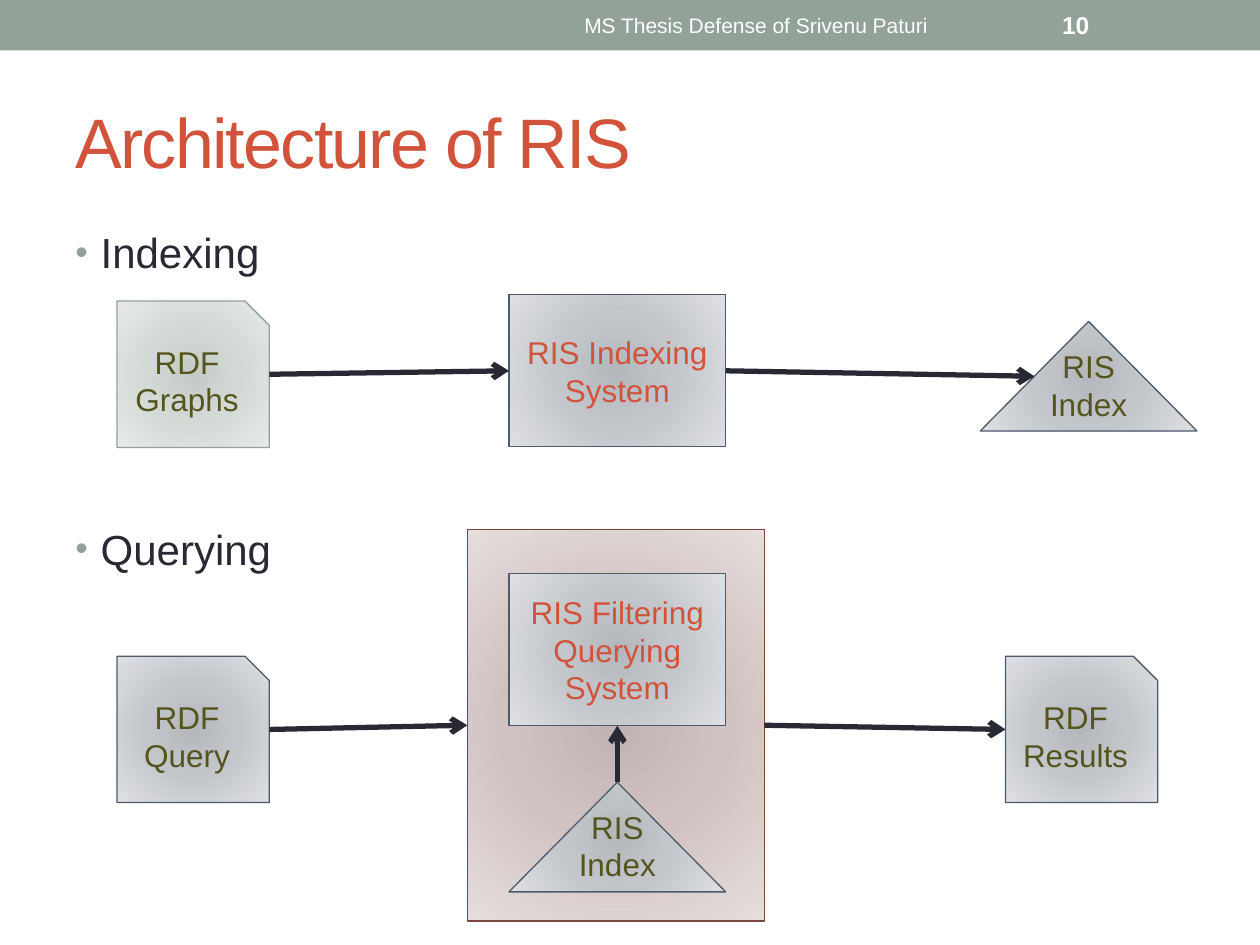
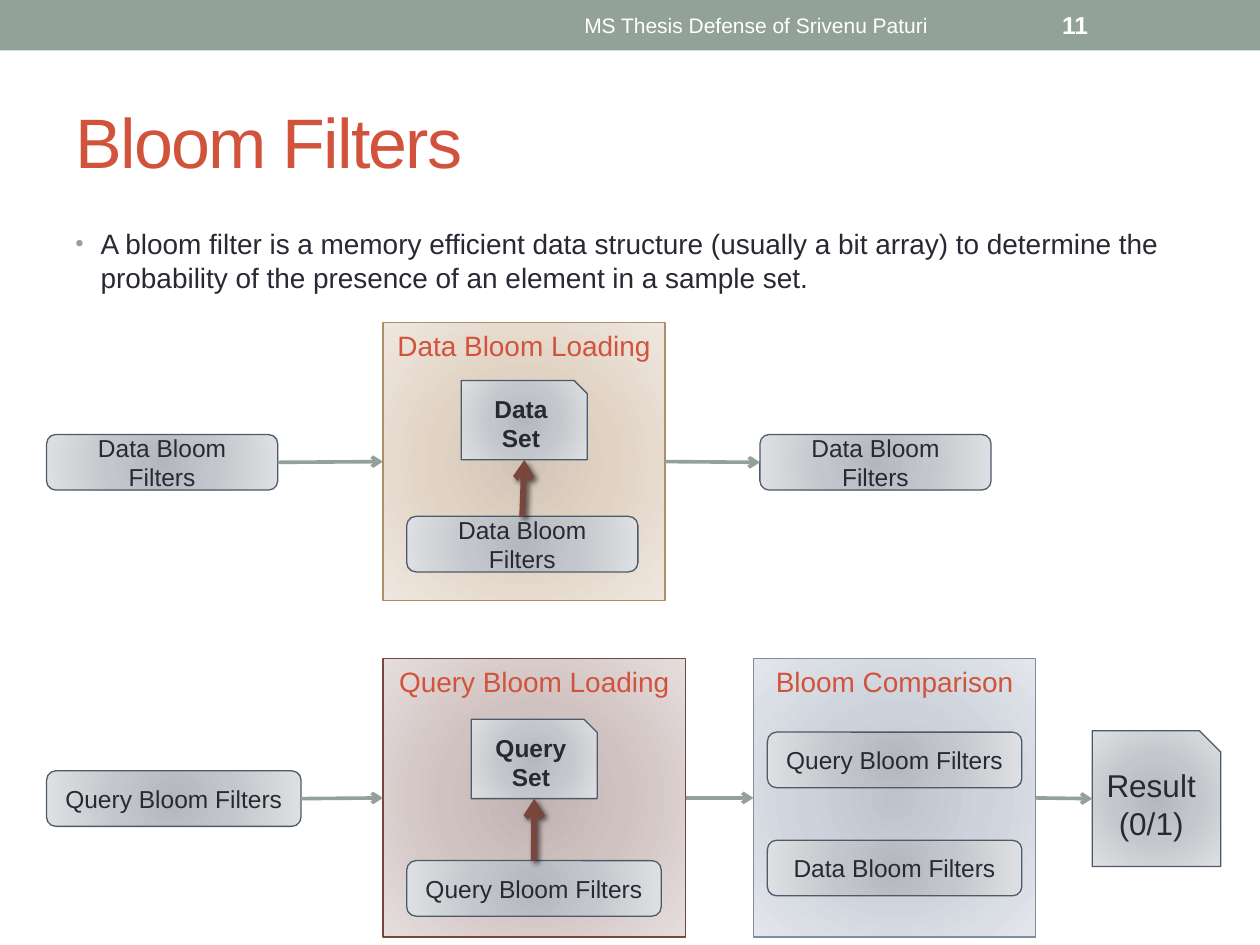
from dataclasses import dataclass
from functools import partial
from typing import NamedTuple

from lxml import etree
from pptx import Presentation
from pptx.dml.color import RGBColor
from pptx.enum.shapes import MSO_CONNECTOR as Connector, MSO_SHAPE as Preset
from pptx.enum.text import MSO_ANCHOR as Anchor, PP_ALIGN as Align
from pptx.oxml import parse_xml
from pptx.oxml.ns import nsdecls, qn
from pptx.util import Cm, Pt

FONT = "Arial"
SAGE, RUST, INK, OLIVE, WHITE = "93A299", "D2533C", "292934", "56541E", "FFFFFF"
BROWN = "79463D"
PRESENTER = "MS Thesis Defense of Srivenu Paturi"
LINE_HEIGHT = 0.76  # one 18 pt line, in cm


class Palette(NamedTuple):
    inner: str
    middle: str
    outer: str
    border: str


STEEL = Palette("B4B7BC", "C3C7CB", "DFE0E3", "4C5A6A")
MOSS = Palette("C4CAC6", "D3DAD6", "E7EAE8", SAGE)
ROSE = Palette("C0B3B1", "D0C2C0", "E5DEDD", BROWN)
SAND = Palette("D1C4B6", "E1D3C4", "EFE7DF", "AD8F67")
SKY = Palette("BEC3CB", "CDD2DB", "E3E6EB", "808DA0")


@dataclass(frozen=True)
class Node:
    """A diagram part; lengths are in centimetres."""
    left: float
    top: float
    width: float
    height: float
    text: str = ""
    preset: Preset = Preset.RECTANGLE
    palette: Palette = STEEL
    size: float = 18
    color: str = INK
    bold: bool = False
    anchor: Anchor = Anchor.MIDDLE

    def site(self, side: str) -> tuple[float, float]:
        """Point where an arrow meets the given side."""
        middle_x = self.left + self.width / 2
        middle_y = self.top + self.height / 2
        slope = self.width / 4 if self.preset == Preset.ISOSCELES_TRIANGLE else 0
        return {
            "left": (self.left + slope, middle_y),
            "right": (self.left + self.width - slope, middle_y),
            "top": (middle_x, self.top),
            "bottom": (middle_x, self.top + self.height),
        }[side]


class Arrow(NamedTuple):
    source: Node
    target: Node
    upward: bool = False


class ArrowStyle(NamedTuple):
    color: str
    width: float
    shadow: bool = False


class Bullet(NamedTuple):
    text: str
    gap: str


FLOW = ArrowStyle(INK, 3)
THIN_FLOW = ArrowStyle(SAGE, 2.08)
LOAD = ArrowStyle(BROWN, 3.5, shadow=True)

System = partial(Node, width=4.37, height=3.07, color=RUST)
Document = partial(Node, width=3.07, height=2.95, preset=Preset.SNIP_1_RECTANGLE, color=OLIVE)
Index = partial(Node, width=4.37, height=2.21, text="RIS Index",
                preset=Preset.ISOSCELES_TRIANGLE, color=OLIVE)
Stage = partial(Node, height=5.61, size=16, color=RUST, anchor=Anchor.TOP)
ItemSet = partial(Node, width=2.54, height=1.6, preset=Preset.SNIP_1_RECTANGLE,
                  size=14, bold=True)
Filters = partial(Node, height=1.12, preset=Preset.ROUNDED_RECTANGLE, size=14)
DataFilters = partial(Filters, width=4.66, text="Data Bloom Filters")
QueryFilters = partial(Filters, width=5.13, text="Query Bloom Filters")


def rgb(value: str) -> RGBColor:
    return RGBColor.from_string(value)


def write(frame, text: str, *, size: float, color: str, bold: bool = False,
          align: Align = Align.LEFT, anchor: Anchor = Anchor.MIDDLE,
          tracking: float = 0) -> None:
    frame.word_wrap = True
    frame.vertical_anchor = anchor
    for number, line in enumerate(text.split("\n")):
        paragraph = frame.add_paragraph() if number else frame.paragraphs[0]
        paragraph.alignment = align
        run = paragraph.add_run()
        run.text = line
        font = run.font
        font.name, font.size, font.bold = FONT, Pt(size), bold
        font.color.rgb = rgb(color)
        if tracking:
            run._r.get_or_add_rPr().set("spc", str(round(tracking * 100)))


def add_text(slide, left: float, top: float, width: float, height: float,
             text: str, **style):
    frame = slide.shapes.add_textbox(Cm(left), Cm(top), Cm(width), Cm(height)).text_frame
    write(frame, text, **style)
    return frame


def add_bullets(slide, bullets: list[Bullet], size: float) -> None:
    frame = add_text(slide, 1.27, 4.45, 22.86, 14.1, "\n".join(b.text for b in bullets),
                     size=size, color=INK, anchor=Anchor.TOP)
    for paragraph, bullet in zip(frame.paragraphs, bullets):
        properties = paragraph._p.get_or_add_pPr()
        properties.set("marL", str(Cm(0.51)))
        properties.set("indent", str(Cm(-0.51)))
        marks = parse_xml(
            f'<a:pPr {nsdecls("a")}><a:spcBef>{bullet.gap}</a:spcBef>'
            f'<a:buClr><a:srgbClr val="{SAGE}"/></a:buClr><a:buSzPct val="85000"/>'
            f'<a:buFont typeface="{FONT}"/><a:buChar char="•"/></a:pPr>')
        properties.extend(list(marks))


def fill_radially(shape, palette: Palette) -> None:
    stops = "".join(
        f'<a:gs pos="{position}"><a:srgbClr val="{color}"/></a:gs>'
        for position, color in zip((0, 45000, 100000), palette))
    gradient = parse_xml(
        f'<a:gradFill {nsdecls("a")} rotWithShape="1"><a:gsLst>{stops}</a:gsLst>'
        '<a:path path="circle"><a:fillToRect l="100000" t="100000" r="100000" b="100000"/>'
        '</a:path></a:gradFill>')
    shape._element.spPr.find(qn("a:prstGeom")).addnext(gradient)


def draw_node(slide, node: Node) -> None:
    shape = slide.shapes.add_shape(node.preset, Cm(node.left), Cm(node.top),
                                   Cm(node.width), Cm(node.height))
    shape.shadow.inherit = False
    fill_radially(shape, node.palette)
    shape.line.color.rgb = rgb(node.palette.border)
    shape.line.width = Pt(0.75)
    if node.text:
        write(shape.text_frame, node.text, size=node.size, color=node.color,
              bold=node.bold, align=Align.CENTER, anchor=node.anchor)
    if node.preset == Preset.ISOSCELES_TRIANGLE:
        shape.text_frame.margin_bottom = Cm(0.13 + LINE_HEIGHT)


def draw_arrow(slide, arrow: Arrow, style: ArrowStyle) -> None:
    start, end = ("top", "bottom") if arrow.upward else ("right", "left")
    points = (*arrow.source.site(start), *arrow.target.site(end))
    connector = slide.shapes.add_connector(Connector.STRAIGHT, *map(Cm, points))
    connector.line.color.rgb = rgb(style.color)
    connector.line.width = Pt(style.width)
    etree.SubElement(connector.line._ln, qn("a:tailEnd"), type="arrow")
    effects = etree.SubElement(connector._element.spPr, qn("a:effectLst"))
    if style.shadow:
        effects.append(parse_xml(
            f'<a:outerShdw {nsdecls("a")} blurRad="{Pt(3)}" dist="{Pt(2)}" '
            f'dir="{45 * 60000}" rotWithShape="0"><a:srgbClr val="000000">'
            '<a:alpha val="60000"/></a:srgbClr></a:outerShdw>'))


def start_slide(deck, title: str, number: int):
    """Add a slide with the header band, footer text, number and title."""
    slide = deck.slides.add_slide(deck.slide_layouts[6])
    band = slide.shapes.add_shape(Preset.RECTANGLE, 0, 0, deck.slide_width, Cm(1.02))
    band.shadow.inherit = False
    band.fill.solid()
    band.fill.fore_color.rgb = rgb(SAGE)
    band.line.fill.background()
    add_text(slide, 9.53, 0.05, 11.43, 0.91, PRESENTER, size=12, color=WHITE,
             align=Align.CENTER)
    add_text(slide, 21.16, 0.05, 2.97, 0.91, str(number), size=14, color=WHITE, bold=True)
    add_text(slide, 1.27, 1.47, 22.86, 2.74, title, size=40, color=RUST, tracking=-1)
    return slide


def draw_diagram(slide, nodes: list[Node], arrows: list[Arrow],
                 across: ArrowStyle, up: ArrowStyle) -> None:
    for node in nodes:
        draw_node(slide, node)
    for arrow in arrows:
        draw_arrow(slide, arrow, up if arrow.upward else across)


def build_architecture(deck) -> None:
    slide = start_slide(deck, "Architecture of RIS", 10)
    add_bullets(slide, [Bullet("Indexing", '<a:spcPct val="20000"/>'),
                        Bullet("Querying", '<a:spcPts val="14040"/>')], size=24)

    graphs = Document(2.36, 6.07, text="RDF Graphs", palette=MOSS)
    indexing = System(10.26, 5.94, text="RIS Indexing System")
    built_index = Index(19.76, 6.48)

    query = Document(2.36, 13.23, text="RDF Query")
    engine = Node(9.42, 10.67, 5.99, 7.9, palette=ROSE)
    filtering = System(10.26, 11.56, text="RIS Filtering Querying System")
    used_index = Index(10.26, 15.77)
    results = Document(20.27, 13.23, text="RDF Results")

    draw_diagram(
        slide,
        [graphs, indexing, built_index, query, engine, filtering, used_index, results],
        [Arrow(graphs, indexing), Arrow(indexing, built_index), Arrow(query, engine),
         Arrow(used_index, filtering, upward=True), Arrow(engine, results)],
        across=FLOW, up=FLOW)


def build_bloom_filters(deck) -> None:
    slide = start_slide(deck, "Bloom Filters", 11)
    add_bullets(slide, [Bullet(
        "A bloom filter is a memory efficient data structure (usually a bit array) to "
        "determine the probability of the presence of an element in a sample set.",
        '<a:spcPct val="20000"/>')], size=16)

    data_input = DataFilters(0.94, 8.76)
    data_loading = Stage(7.72, 6.5, 5.69, text="Data Bloom Loading", palette=SAND)
    data_set = ItemSet(9.3, 7.67, text="Data Set")
    data_loaded = DataFilters(8.2, 10.41)
    data_output = DataFilters(15.32, 8.76)

    query_input = QueryFilters(0.94, 15.54)
    query_loading = Stage(7.72, 13.28, 6.1, text="Query Bloom Loading", palette=ROSE)
    query_set = ItemSet(9.5, 14.5, text="Query Set")
    query_loaded = QueryFilters(8.2, 17.35)
    comparison = Stage(15.19, 13.28, 5.69, text="Bloom Comparison", palette=SKY)
    compared_query = QueryFilters(15.47, 14.76)
    compared_data = QueryFilters(15.47, 16.94, text="Data Bloom Filters")
    result = Document(22.02, 14.73, width=2.59, height=2.74, text="Result\n(0/1)", color=INK)

    draw_diagram(
        slide,
        [data_input, data_loading, data_set, data_loaded, data_output,
         query_input, query_loading, query_set, query_loaded,
         comparison, compared_query, compared_data, result],
        [Arrow(data_input, data_loading), Arrow(data_loading, data_output),
         Arrow(query_input, query_loading), Arrow(query_loading, comparison),
         Arrow(comparison, result), Arrow(data_loaded, data_set, upward=True),
         Arrow(query_loaded, query_set, upward=True)],
        across=THIN_FLOW, up=LOAD)


def main() -> None:
    deck = Presentation()
    deck.slide_width, deck.slide_height = Cm(25.4), Cm(19.05)
    build_architecture(deck)
    build_bloom_filters(deck)
    deck.save("out.pptx")


if __name__ == "__main__":
    main()
